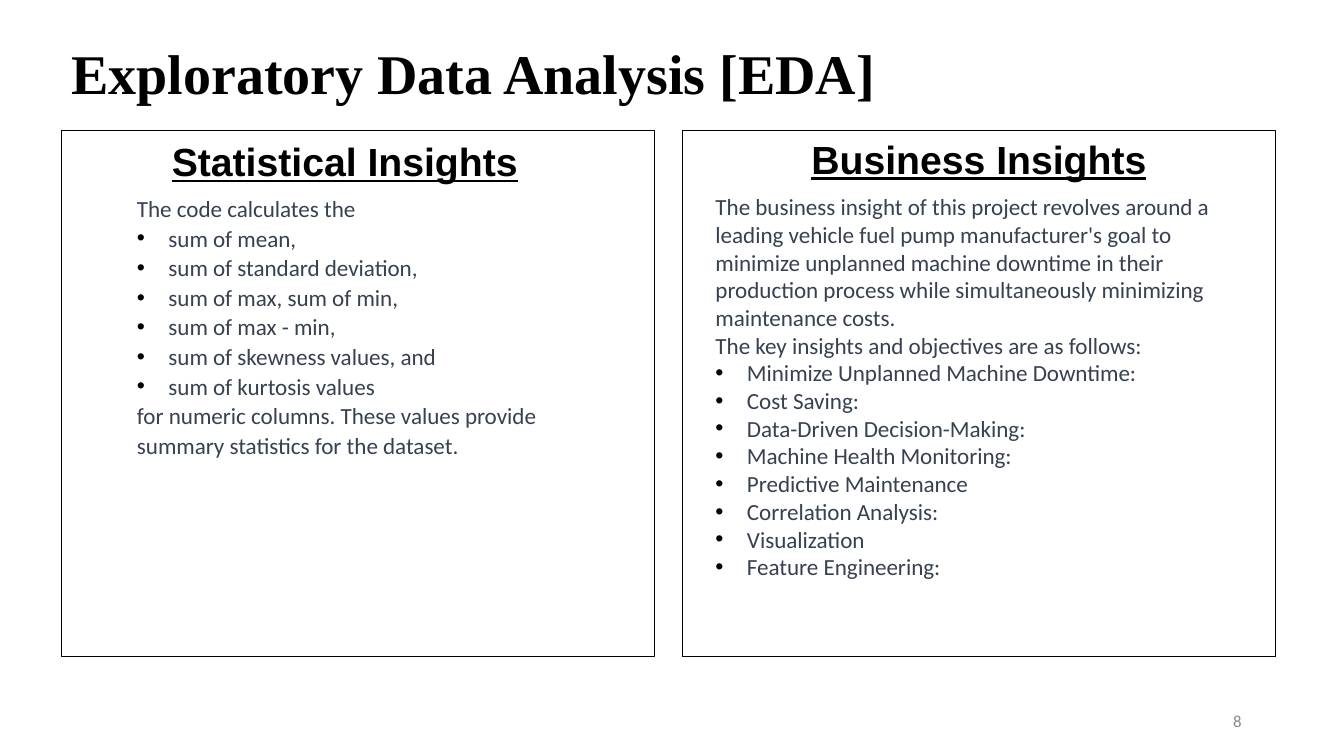
from pptx import Presentation
from pptx.dml.color import RGBColor
from pptx.enum.shapes import MSO_SHAPE as Preset
from pptx.enum.text import MSO_ANCHOR as Anchor, PP_ALIGN as Align
from pptx.util import Pt
from lxml.etree import SubElement
from pptx.oxml.ns import qn

BLACK, SLATE, GREY = "000000", "374151", "888888"
BULLET_INDENT = 22.5

STATISTICS = [
    ("The code calculates the", False),
    ("sum of mean,", True),
    ("sum of standard deviation,", True),
    ("sum of max, sum of min,", True),
    ("sum of max - min,", True),
    ("sum of skewness values, and", True),
    ("sum of kurtosis values", True),
    ("for numeric columns. These values provide summary statistics "
     "for the dataset.", False),
]
BUSINESS = [
    ("The business insight of this project revolves around a leading vehicle "
     "fuel pump manufacturer's goal to minimize unplanned machine downtime in "
     "their production process while simultaneously minimizing maintenance "
     "costs.", False),
    ("The key insights and objectives are as follows:", False),
    ("Minimize Unplanned Machine Downtime:", True),
    ("Cost Saving:", True),
    ("Data-Driven Decision-Making:", True),
    ("Machine Health Monitoring:", True),
    ("Predictive Maintenance", True),
    ("Correlation Analysis:", True),
    ("Visualization", True),
    ("Feature Engineering:", True),
]


def color(value):
    return RGBColor.from_string(value)


def add_frame(page, left, top, width, height, anchor=Anchor.TOP):
    box = page.shapes.add_textbox(Pt(left), Pt(top), Pt(width), Pt(height))
    frame = box.text_frame
    frame.word_wrap = True
    frame.vertical_anchor = anchor
    return frame


def add_span(para, text, font, size, fill, bold=False, underline=False):
    span = para.add_run()
    span.text = text
    span.font.name = font
    span.font.size = Pt(size)
    span.font.bold = bold
    span.font.underline = underline
    span.font.color.rgb = color(fill)


def set_indent(para, margin, bulleted):
    """Indent a paragraph, hanging it from a black dot if bulleted."""
    props = para._p.get_or_add_pPr()
    hang = BULLET_INDENT if bulleted else 0
    props.set("marL", str(Pt(margin + hang)))
    props.set("indent", str(Pt(-hang)))
    if bulleted:
        tint = SubElement(props, qn("a:buClr"))
        SubElement(tint, qn("a:srgbClr"), val=BLACK)
        SubElement(props, qn("a:buFont"), typeface="Arial")
        SubElement(props, qn("a:buChar"), char="•")


def add_title(page, left, top, width, height):
    para = add_frame(page, left, top, width, height, Anchor.MIDDLE).paragraphs[0]
    para.line_spacing = 0.9
    add_span(para, "Exploratory Data Analysis [EDA]", "Times New Roman", 40,
             BLACK, bold=True)


def add_page_number(page, left, top, width, height):
    para = add_frame(page, left, top, width, height, Anchor.MIDDLE).paragraphs[0]
    para.alignment = Align.RIGHT
    add_span(para, "8", "Calibri", 12, GREY)


def add_panel(page, left, top, width, height, heading, lines,
              heading_shift, body_inset, body_width, margin, spacing):
    """Outlined panel with a heading and a list; shifts start at its corner."""
    border = page.shapes.add_shape(Preset.RECTANGLE, Pt(left), Pt(top),
                                   Pt(width), Pt(height))
    border.shadow.inherit = False
    border.fill.background()
    border.line.color.rgb = color(BLACK)
    border.line.width = Pt(0.75)

    shift_x, shift_y = heading_shift
    para = add_frame(page, left + shift_x, top + shift_y, width, 41).paragraphs[0]
    para.alignment = Align.CENTER
    add_span(para, heading, "Arial", 28, BLACK, bold=True, underline=True)

    frame = add_frame(page, left + body_inset, top + 41, body_width, 311)
    for index, (text, bulleted) in enumerate(lines):
        para = frame.add_paragraph() if index else frame.paragraphs[0]
        para.line_spacing = spacing
        set_indent(para, margin, bulleted)
        add_span(para, text, "Calibri", 16.5, SLATE)


def main():
    deck = Presentation()
    deck.slide_width, deck.slide_height = Pt(960), Pt(540)
    page = deck.slides.add_slide(deck.slide_layouts[6])
    add_title(page, 44, 29, 828, 51)
    add_page_number(page, 678, 500.5, 216, 28.75)
    add_panel(page, 44, 93, 423.5, 376, "Statistical Insights", STATISTICS,
              heading_shift=(-9.5, 1.5), body_inset=10.75, body_width=395,
              margin=36, spacing=1.07)
    add_panel(page, 487.5, 93, 423.5, 376, "Business Insights", BUSINESS,
              heading_shift=(0, 0), body_inset=16.5, body_width=380,
              margin=0, spacing=1.0)
    deck.save("out.pptx")


if __name__ == "__main__":
    main()
